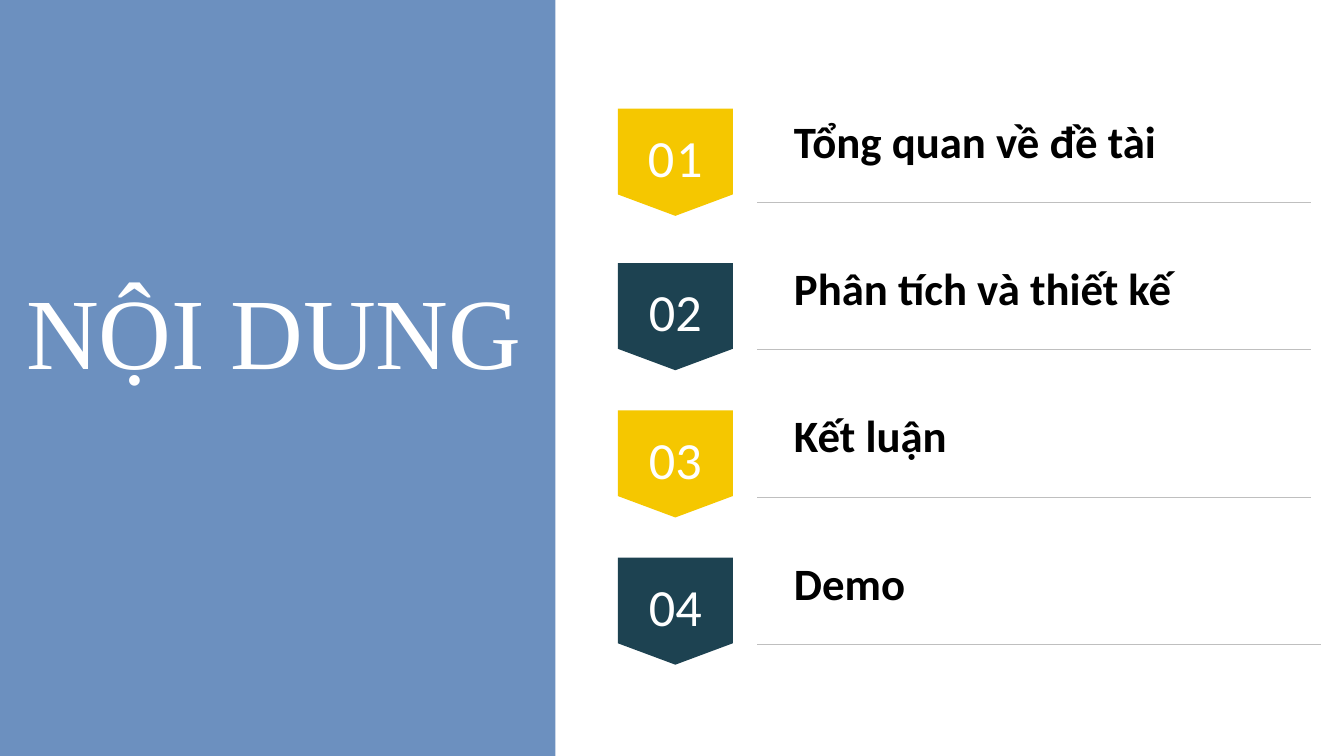
from dataclasses import dataclass

from lxml.etree import SubElement
from pptx import Presentation
from pptx.dml.color import RGBColor
from pptx.enum.shapes import MSO_CONNECTOR, MSO_SHAPE
from pptx.enum.text import MSO_ANCHOR, PP_ALIGN
from pptx.oxml.ns import qn
from pptx.shapes.autoshape import Shape
from pptx.slide import Slide
from pptx.text.text import _Run
from pptx.util import Cm, Pt

WHITE = RGBColor(0xFF, 0xFF, 0xFF)
BLACK = RGBColor(0x00, 0x00, 0x00)
BLUE = RGBColor(0x5E, 0x85, 0xB9)
YELLOW = RGBColor(0xF5, 0xC7, 0x00)
TEAL = RGBColor(0x1D, 0x42, 0x51)
GREY = RGBColor(0xBF, 0xBF, 0xBF)

FIRST_TOP = 2.74
ROW_PITCH = 3.71
BADGE_LEFT = 15.57
HEADING_LEFT = 19.76
RULE_LEFT = 19.08
RULE_DROP = 2.36


@dataclass(frozen=True)
class AgendaItem:
    number: str
    heading: str
    color: RGBColor
    badge_drop: float = 0.18
    rule_right: float = 33.05
    spacing: int = 0


AGENDA = [
    AgendaItem("01", "Tổng quan về đề tài", YELLOW, badge_drop=0, spacing=130),
    AgendaItem("02", "Phân tích và thiết kế", TEAL),
    AgendaItem("03", "Kết luận", YELLOW),
    AgendaItem("04", "Demo", TEAL, rule_right=33.3),
]


def add_filled_shape(slide: Slide, kind: MSO_SHAPE, left: float, top: float,
                     width: float, height: float, color: RGBColor) -> Shape:
    shape = slide.shapes.add_shape(kind, Cm(left), Cm(top), Cm(width), Cm(height))
    shape.shadow.inherit = False
    shape.fill.solid()
    shape.fill.fore_color.rgb = color
    shape.line.fill.background()
    return shape


def write_text(shape: Shape, text: str, font_name: str, size: float,
               color: RGBColor, alignment: PP_ALIGN, bold: bool = False) -> _Run:
    shape.text_frame.word_wrap = True
    paragraph = shape.text_frame.paragraphs[0]
    paragraph.alignment = alignment
    run = paragraph.add_run()
    run.text = text
    run.font.name = font_name
    run.font.size = Pt(size)
    run.font.bold = bold
    run.font.color.rgb = color
    return run


def set_margins(shape: Shape, left: float, top: float, right: float, bottom: float) -> None:
    frame = shape.text_frame
    frame.margin_left, frame.margin_top = Cm(left), Cm(top)
    frame.margin_right, frame.margin_bottom = Cm(right), Cm(bottom)


def add_title_panel(slide: Slide) -> None:
    panel = add_filled_shape(slide, MSO_SHAPE.RECTANGLE, 0, 0, 14, 19.05, BLUE)
    color_element = panel._element.spPr.find(qn("a:solidFill"))[0]
    SubElement(color_element, qn("a:alpha")).set("val", "91000")
    title = slide.shapes.add_textbox(Cm(0), Cm(6.78), Cm(13.8), Cm(4.01))
    set_margins(title, 0.33, 0.33, 0.33, 0.33)
    write_text(title, "NỘI DUNG", "Times New Roman", 72, WHITE, PP_ALIGN.CENTER)
    title.text_frame.paragraphs[0].line_spacing = 0.9


def add_badge(slide: Slide, item: AgendaItem, top: float) -> None:
    badge = add_filled_shape(slide, MSO_SHAPE.FLOWCHART_OFFPAGE_CONNECTOR,
                             BADGE_LEFT, top, 2.9, 2.7, item.color)
    set_margins(badge, 0, 0.25, 0, 0)
    badge.text_frame.vertical_anchor = MSO_ANCHOR.MIDDLE
    run = write_text(badge, item.number, "Calibri", 37.3, WHITE, PP_ALIGN.CENTER)
    if item.spacing:
        run.font._element.set("spc", str(item.spacing))


def add_rule(slide: Slide, right: float, top: float) -> None:
    rule = slide.shapes.add_connector(MSO_CONNECTOR.STRAIGHT, Cm(RULE_LEFT), Cm(top),
                                      Cm(right), Cm(top))
    rule.line.color.rgb = GREY
    rule.line.width = Pt(0.5)
    SubElement(rule._element.spPr, qn("a:effectLst"))


def add_agenda_row(slide: Slide, item: AgendaItem, top: float) -> None:
    add_badge(slide, item, top + item.badge_drop)
    heading = slide.shapes.add_textbox(Cm(HEADING_LEFT), Cm(top), Cm(11.8), Cm(1.62))
    write_text(heading, item.heading, "Calibri", 32, BLACK, PP_ALIGN.LEFT, bold=True)
    add_rule(slide, item.rule_right, top + RULE_DROP)


def main() -> None:
    presentation = Presentation()
    presentation.slide_width = Cm(33.87)
    presentation.slide_height = Cm(19.05)
    slide = presentation.slides.add_slide(presentation.slide_layouts[6])
    add_title_panel(slide)
    for index, item in enumerate(AGENDA):
        add_agenda_row(slide, item, FIRST_TOP + index * ROW_PITCH)
    presentation.save("out.pptx")


if __name__ == "__main__":
    main()
